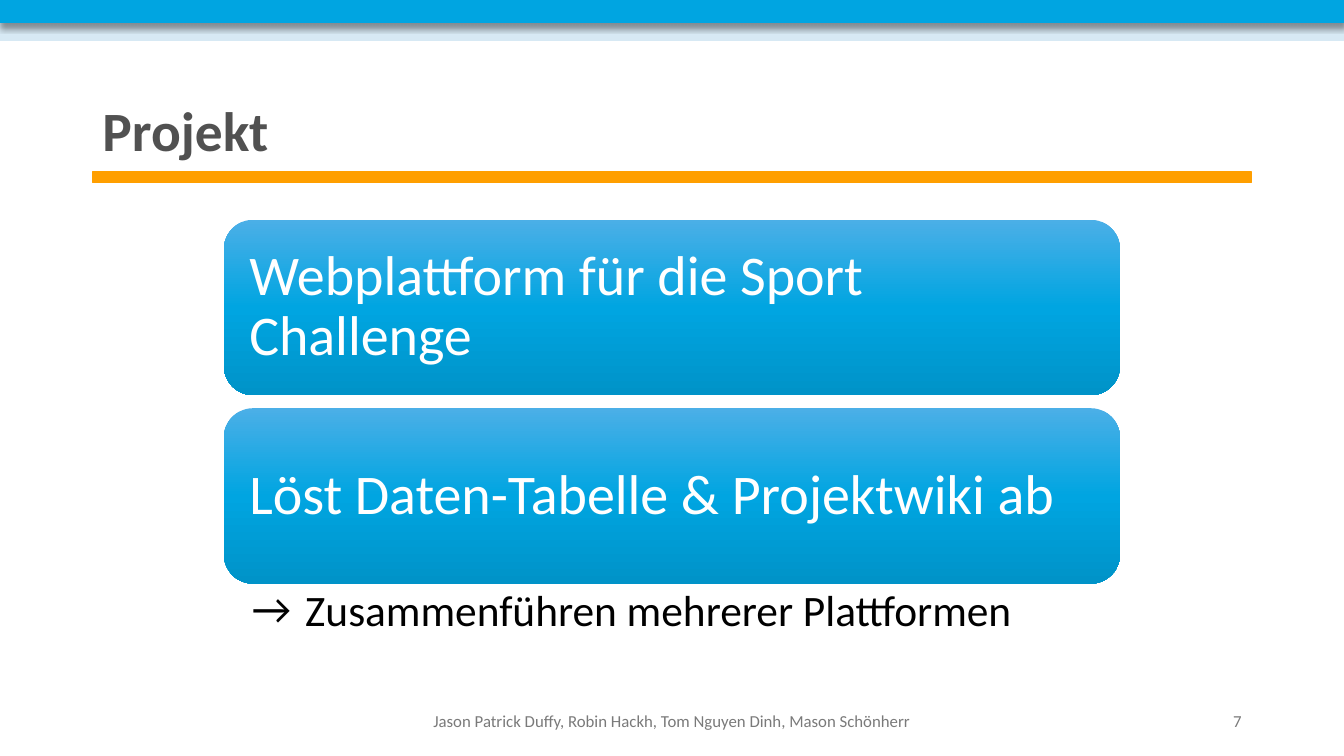
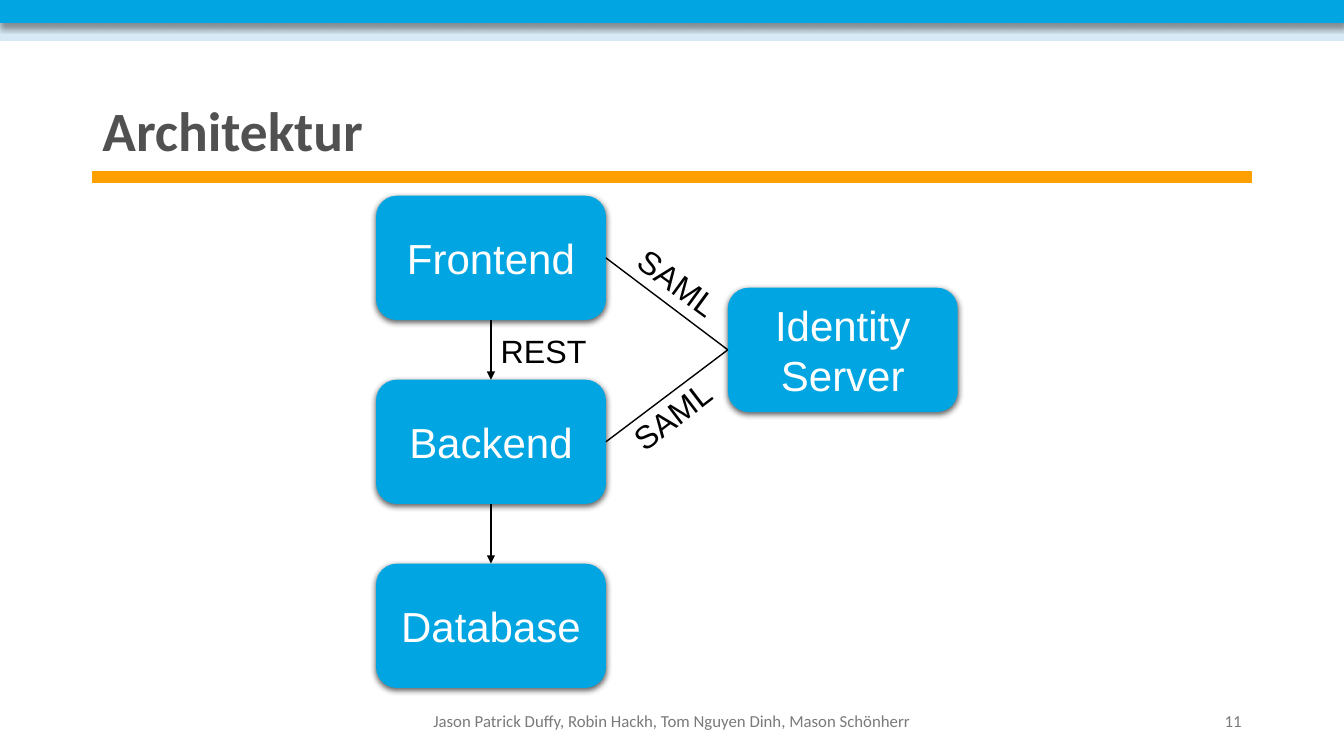
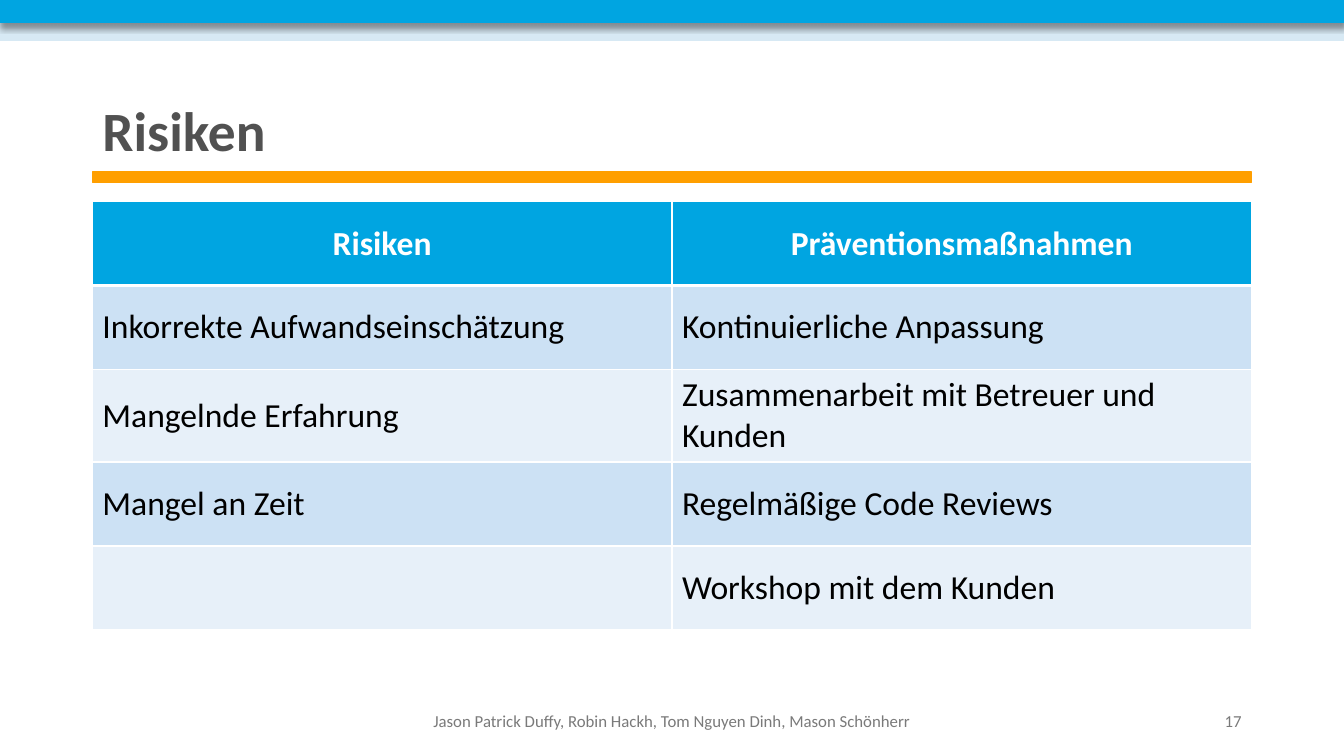
from dataclasses import dataclass
from typing import Any, NamedTuple, Optional

import pptx
import pptx.dml.color
import pptx.enum.shapes
import pptx.enum.text
import pptx.oxml.ns
import pptx.slide
import pptx.util
from lxml import etree

Pt = pptx.util.Pt
qn = pptx.oxml.ns.qn
ALIGN = pptx.enum.text.PP_ALIGN
ANCHOR = pptx.enum.text.MSO_ANCHOR
SHAPE = pptx.enum.shapes.MSO_SHAPE


# Theme: colours, fonts and type sizes
@dataclass(frozen=True)
class Theme:
    blue: str = "00A5E1"
    pale: str = "D7E9F4"
    gold: str = "FF9F00"
    gray: str = "515151"
    foot: str = "7A7A7A"
    black: str = "000000"
    white: str = "FFFFFF"
    rows: tuple[str, str] = ("CCE1F4", "E7F0F9")
    fade: tuple[str, str, str] = ("4BAFE7", "00A5E1", "0093C8")
    sans: str = "Calibri"
    plain: str = "Arial"
    title: float = 39.6
    card: float = 40
    note: float = 31
    node: float = 30
    cell: float = 24
    label: float = 23
    small: float = 12


T = Theme()


class Box(NamedTuple):
    x: float
    y: float
    w: float
    h: float


class Shade(NamedTuple):
    alpha: int
    blur: float
    dist: float


class Band(NamedTuple):
    box: Box
    color: str
    shade: Optional[Shade] = None


class Node(NamedTuple):
    text: str
    col: int
    row: float


class Link(NamedTuple):
    start: str
    side: int
    end: str
    goal: int
    arrow: bool = False


class Label(NamedTuple):
    text: str
    box: Box
    turn: float = 0


# Shared layout
WIDE, HIGH = 960, 540
EDGE = 66
SPAN = WIDE - 2 * EDGE
SIDE = 216
FOOT = "Jason Patrick Duffy, Robin Hackh, Tom Nguyen Dinh, Mason Schönherr"
BANDS = [
    Band(Box(0, 11.5, WIDE, 17.3), T.pale),
    Band(Box(0, 0, WIDE, 16.2), T.blue, Shade(40, 4, 3)),
    Band(Box(EDGE, 123, SPAN, 7.2), T.gold),
]

# Slide contents
CARDS = ["Webplattform für die Sport Challenge", "Löst Daten-Tabelle & Projektwiki ab"]
NODES = [
    Node("Frontend", 0, 0),
    Node("Backend", 0, 1),
    Node("Database", 0, 2),
    Node("Identity Server", 1, 0.5),
]
LINKS = [
    Link("Frontend", 2, "Backend", 0, True),
    Link("Backend", 2, "Database", 0, True),
    Link("Backend", 3, "Identity Server", 1),
    Link("Frontend", 3, "Identity Server", 1),
]
LABELS = [
    Label("SAML", Box(444.2, 188.6, 91.4, 35.3), 36.2),
    Label("SAML", Box(441.4, 278.6, 79.2, 35.3), 322.6),
    Label("REST", Box(350.6, 233.3, 115.2, 35.3)),
]
RISKS = [
    ("Risiken", "Präventionsmaßnahmen"),
    ("Inkorrekte Aufwandseinschätzung", "Kontinuierliche Anpassung"),
    ("Mangelnde Erfahrung", "Zusammenarbeit mit Betreuer und Kunden"),
    ("Mangel an Zeit", "Regelmäßige Code Reviews"),
    ("", "Workshop mit dem Kunden"),
]


# Helpers
def rgb(color: str) -> pptx.dml.color.RGBColor:
    return pptx.dml.color.RGBColor.from_string(color)


def child(node: Any, tag: str, **attrs: Any) -> Any:
    return etree.SubElement(node, qn(tag), {k: str(v) for k, v in attrs.items()})


def put(frame: Any, text: str, *, size: float, color: str, font: str = T.sans,
        bold: bool = False, align: Any = ALIGN.LEFT, lead: float = 1.0,
        anchor: Any = None, inset: Optional[tuple[float, float, float, float]] = None) -> Any:
    """Write one formatted paragraph into a text frame and return it."""
    frame.word_wrap = True
    if anchor is not None:
        frame.vertical_anchor = anchor
    if inset is not None:
        (frame.margin_left, frame.margin_top,
         frame.margin_right, frame.margin_bottom) = map(Pt, inset)
    para = frame.paragraphs[0]
    para.alignment, para.line_spacing = align, lead
    para.space_before = para.space_after = Pt(0)
    run = para.add_run()
    run.text = text
    run.font.name, run.font.size, run.font.bold = font, Pt(size), bold
    run.font.color.rgb = rgb(color)
    return para


def place(shape: Any, box: Box) -> None:
    shape.left, shape.top, shape.width, shape.height = map(Pt, box)


def block(slide: pptx.slide.Slide, kind: Any, box: Box, color: str,
          shade: Optional[Shade] = None, edge: bool = False) -> Any:
    shape = slide.shapes.add_shape(kind, *map(Pt, box))
    shape.fill.solid()
    shape.fill.fore_color.rgb = rgb(color)
    if edge:
        shape.line.color.rgb = rgb(color)
        shape.line.width = Pt(1)
    else:
        shape.line.fill.background()
    shape.shadow.inherit = False
    if shade:
        glow = child(shape.element.spPr.find(qn("a:effectLst")), "a:outerShdw",
                     blurRad=Pt(shade.blur), dist=Pt(shade.dist), dir=5400000, rotWithShape=0)
        child(child(glow, "a:srgbClr", val=T.black), "a:alpha", val=shade.alpha * 1000)
    return shape


def write(slide: pptx.slide.Slide, box: Box, text: str, turn: float = 0, **style: Any) -> None:
    area = slide.shapes.add_textbox(*map(Pt, box))
    area.rotation = turn
    put(area.text_frame, text, **style)


def start(deck: Any, layout: int, title: str, page: int) -> pptx.slide.Slide:
    """Add a slide with bands, title and footer."""
    slide = deck.slides.add_slide(deck.slide_layouts[layout])
    for band in BANDS:
        block(slide, SHAPE.RECTANGLE, band.box, band.color, band.shade, edge=True)
    head = slide.shapes.title
    place(head, Box(EDGE, 70.6, SPAN, 49.7))
    head.text_frame.auto_size = pptx.enum.text.MSO_AUTO_SIZE.NONE
    put(head.text_frame, title, size=T.title, color=T.gray, bold=True, lead=0.9,
        anchor=ANCHOR.MIDDLE)
    foot = dict(size=T.small, color=T.foot, anchor=ANCHOR.MIDDLE)
    mid = SPAN - 2 * SIDE
    write(slide, Box(EDGE + SIDE, 500.4, mid, 28.8), FOOT, align=ALIGN.CENTER, **foot)
    write(slide, Box(EDGE + SIDE + mid, 500.4, SIDE, 28.8), str(page),
          align=ALIGN.RIGHT, **foot)
    return slide


def blend(shape: Any, colors: tuple[str, ...]) -> None:
    """Fill a shape with evenly spaced colours from top to bottom."""
    shape.fill.gradient()
    shape.fill.gradient_angle = 270
    stops = shape.element.spPr.find(".//" + qn("a:gsLst"))
    for stop in list(stops):
        stops.remove(stop)
    for i, color in enumerate(colors):
        stop = child(stops, "a:gs", pos=100000 * i // (len(colors) - 1))
        child(stop, "a:srgbClr", val=color)


def join(slide: pptx.slide.Slide, link: Link, nodes: dict[str, Any]) -> None:
    line = slide.shapes.add_connector(pptx.enum.shapes.MSO_CONNECTOR.STRAIGHT, 0, 0, 0, 0)
    line.begin_connect(nodes[link.start], link.side)
    line.end_connect(nodes[link.end], link.goal)
    line.line.color.rgb = rgb(T.black)
    line.line.width = Pt(1)
    props = line.element.spPr
    if link.arrow:
        child(props.find(qn("a:ln")), "a:tailEnd", type="triangle")
    child(props, "a:effectLst")


def rule(cell: Any, top: float, base: float) -> None:
    """Give a cell white borders, ahead of its fill."""
    props = cell.fill and cell._tc.get_or_add_tcPr()
    sides = (("a:lnL", 1), ("a:lnR", 1), ("a:lnT", top), ("a:lnB", base))
    for i, (tag, width) in enumerate(sides):
        line = child(props, tag, w=Pt(width))
        child(child(line, "a:solidFill"), "a:srgbClr", val=T.white)
        props.insert(i, line)


# Slides
def project(deck: Any) -> None:
    slide = start(deck, 1, "Projekt", 7)
    for i, text in enumerate(CARDS):
        card = block(slide, SHAPE.ROUNDED_RECTANGLE, Box(160, 157 + 134.6 * i, 640, 125.3), T.blue)
        blend(card, T.fade)
        put(card.text_frame, text, size=T.card, color=T.white, lead=0.9,
            anchor=ANCHOR.MIDDLE, inset=(12, 12, 12, 12))
    note = slide.placeholders[1]
    place(note, Box(160, 417, 640, 51.8))
    note.text_frame.auto_size = pptx.enum.text.MSO_AUTO_SIZE.NONE
    para = put(note.text_frame, "Zusammenführen mehrerer Plattformen", size=T.note,
               color=T.black, lead=0.9, anchor=ANCHOR.TOP, inset=(20, 4, 22, 4))
    props = para._p.get_or_add_pPr()
    props.set("marL", str(Pt(38)))
    props.set("indent", str(-Pt(38)))
    child(props, "a:buFont", typeface=T.sans)
    child(props, "a:buChar", char="→")


def design(deck: Any) -> None:
    slide = start(deck, 5, "Architektur", 11)
    nodes: dict[str, Any] = {}
    for node in NODES:
        box = Box(268.6 + 251.3 * node.col, 139.8 + 131.4 * node.row, 164.2, 88.8)
        shape = block(slide, SHAPE.ROUNDED_RECTANGLE, box, T.blue, Shade(63, 4.5, 1.5))
        put(shape.text_frame, node.text, size=T.node, color=T.white, font=T.plain,
            align=ALIGN.CENTER, anchor=ANCHOR.MIDDLE)
        nodes[node.text] = shape
    for link in LINKS:
        join(slide, link, nodes)
    for label in LABELS:
        write(slide, label.box, label.text, label.turn, size=T.label, color=T.black,
              font=T.plain)


def risks(deck: Any) -> None:
    slide = start(deck, 5, "Risiken", 17)
    high = [60, 60, 66, 60, 60]
    grid = slide.shapes.add_table(len(RISKS), 2, Pt(EDGE), Pt(144), Pt(SPAN),
                                  Pt(sum(high))).table
    for col in grid.columns:
        col.width = Pt(SPAN / 2)
    for r, texts in enumerate(RISKS):
        grid.rows[r].height = Pt(high[r])
        head = r == 0
        for c, text in enumerate(texts):
            cell = grid.cell(r, c)
            cell.vertical_anchor = ANCHOR.MIDDLE
            cell.fill.solid()
            cell.fill.fore_color.rgb = rgb(T.blue if head else T.rows[(r - 1) % 2])
            rule(cell, top=3 if r == 1 else 1, base=3 if head else 1)
            if text:
                put(cell.text_frame, text, size=T.cell, bold=head,
                    color=T.white if head else T.black,
                    align=ALIGN.CENTER if head else ALIGN.LEFT)


def main() -> None:
    deck = pptx.Presentation()
    deck.slide_width, deck.slide_height = Pt(WIDE), Pt(HIGH)
    for build in (project, design, risks):
        build(deck)
    deck.save("out.pptx")


if __name__ == "__main__":
    main()
